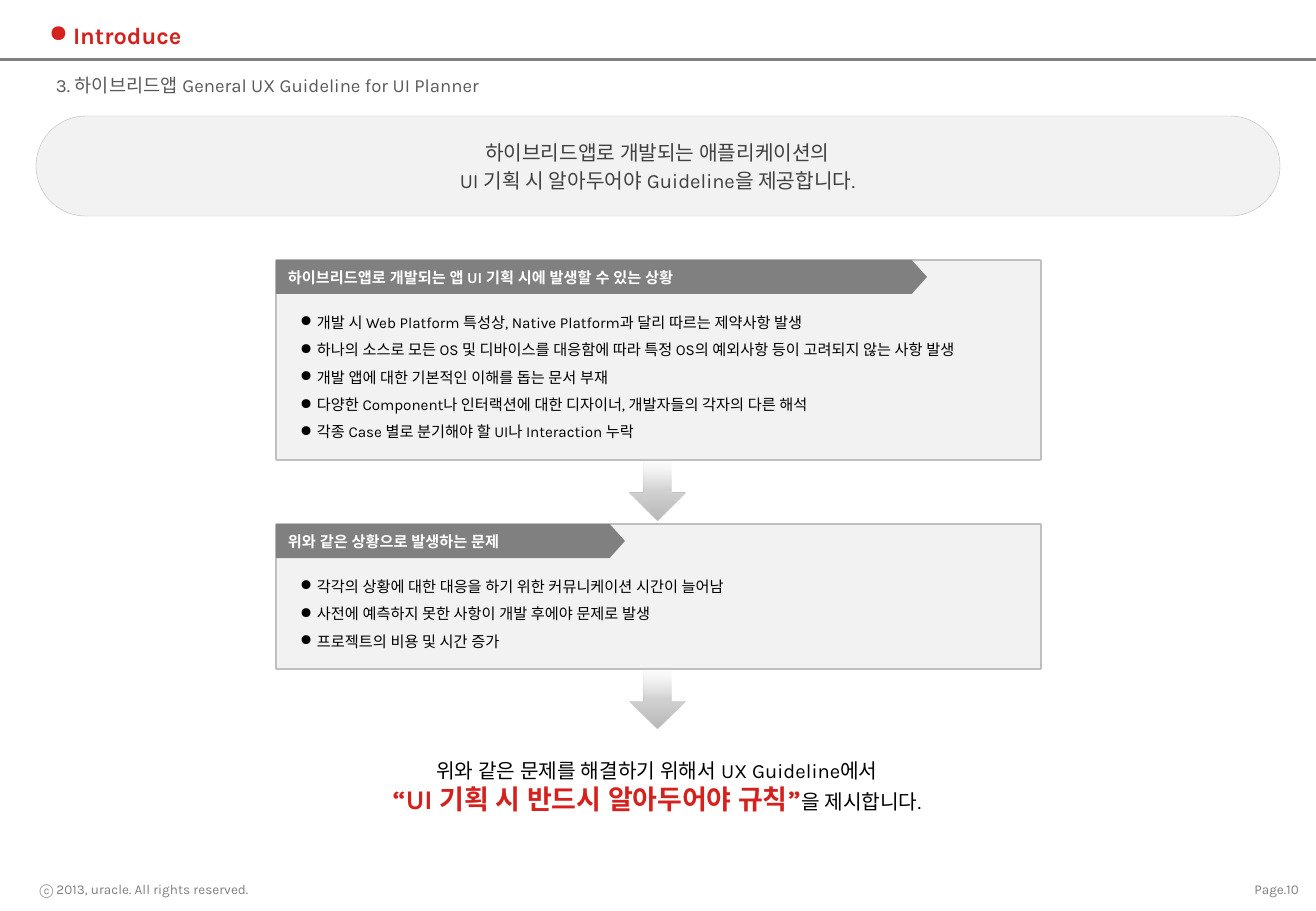
from dataclasses import dataclass

from lxml import etree
from pptx import Presentation
from pptx.dml.color import RGBColor
from pptx.enum.shapes import MSO_SHAPE
from pptx.enum.text import MSO_ANCHOR, MSO_AUTO_SIZE, PP_ALIGN
from pptx.oxml.ns import qn
from pptx.util import Pt

RECT = MSO_SHAPE.RECTANGLE
ROUND = MSO_SHAPE.ROUNDED_RECTANGLE
ARROW = MSO_SHAPE.RIGHT_ARROW
LEFT, CENTER, RIGHT = PP_ALIGN.LEFT, PP_ALIGN.CENTER, PP_ALIGN.RIGHT
TOP, MIDDLE = MSO_ANCHOR.TOP, MSO_ANCHOR.MIDDLE
NO_FIT = MSO_AUTO_SIZE.NONE
TITLE_ONLY = 5


@dataclass(frozen=True)
class Theme:
    font: str = "Karla"
    red: str = "D5211D"
    gray: str = "808080"
    subtitle: str = "595959"
    lead: str = "404040"
    black: str = "000000"
    white: str = "FFFFFF"
    panel: str = "F2F2F2"
    border: str = "BFBFBF"
    title_size: int = 14
    strong_size: int = 16
    lead_size: int = 12
    subtitle_size: int = 11
    body_size: int = 9
    footer_size: int = 8


THEME = Theme()

TITLE = "Introduce"
SUBTITLE = "3. 하이브리드앱 General UX Guideline for UI Planner"
LEAD = [
    "하이브리드앱로 개발되는 애플리케이션의",
    "UI 기획 시 알아두어야 Guideline을 제공합니다.",
]
PANELS = [
    {
        "top": 260, "height": 200, "band": 651,
        "heading": "하이브리드앱로 개발되는 앱 UI 기획 시에 발생할 수 있는 상황",
        "points": [
            "개발 시 Web Platform 특성상, Native Platform과 달리 따르는 제약사항 발생",
            "하나의 소스로 모든 OS 및 디바이스를 대응함에 따라 특정 OS의 예외사항 등이 고려되지 않는 사항 발생",
            "개발 앱에 대한 기본적인 이해를 돕는 문서 부재",
            "다양한 Component나 인터랙션에 대한 디자이너, 개발자들의 각자의 다른 해석",
            "각종 Case 별로 분기해야 할 UI나 Interaction 누락",
        ],
    },
    {
        "top": 524, "height": 145, "band": 349,
        "heading": "위와 같은 상황으로 발생하는 문제",
        "points": [
            "각각의 상황에 대한 대응을 하기 위한 커뮤니케이션 시간이 늘어남",
            "사전에 예측하지 못한 사항이 개발 후에야 문제로 발생",
            "프로젝트의 비용 및 시간 증가",
        ],
    },
]
STRONG = {"color": THEME.red, "size": THEME.strong_size, "bold": True}
CLOSING = [
    "위와 같은 문제를 해결하기 위해서 UX Guideline에서",
    [("“UI 기획 시 반드시 알아두어야 규칙”", STRONG), ("을 제시합니다.", {})],
]
COPYRIGHT = "ⓒ 2013, uracle. All rights reserved."
PAGE_LABEL = "Page.10"
ARROW_STOPS = [(0, "B8B8B8", 100), (50, "D3D3D3", 100), (100, "E9E9E9", 0)]

EMU_PER_PX = 7526
SLIDE_WIDTH, SLIDE_HEIGHT = 1316, 911
PANEL_LEFT, PANEL_WIDTH = 276, 765
BAND_HEIGHT, POINTS_OFFSET, POINT_PITCH = 34, 38, 27
ARROW_LENGTH, ARROW_BREADTH, ARROW_DROP = 61, 55, 29


def px(*lengths):
    return [length * EMU_PER_PX for length in lengths]


def style(span, color, size, bold=False):
    span.font.size = Pt(size)
    span.font.bold = bold
    span.font.color.rgb = RGBColor.from_string(color)
    span.font.name = THEME.font
    etree.SubElement(span.font._element, qn("a:ea"), typeface=THEME.font)


def write(shape, paragraphs, color, size, bold=False, align=LEFT, anchor=TOP,
          inset=12, bullet_indent=0, line_spacing=None, gap=0):
    frame = shape.text_frame
    frame.word_wrap = True
    frame.auto_size = NO_FIT
    frame.vertical_anchor = anchor
    frame.margin_left, frame.margin_right = px(inset, inset)
    frame.margin_top, frame.margin_bottom = px(6, 6)
    for index, content in enumerate(paragraphs):
        para = frame.add_paragraph() if index else frame.paragraphs[0]
        para.alignment = align
        para.space_before = Pt(gap if index else 0)
        if line_spacing:
            para.line_spacing = line_spacing
        if bullet_indent:
            properties = para._p.get_or_add_pPr()
            indent = px(bullet_indent)[0]
            properties.set("marL", str(indent))
            properties.set("indent", str(-indent))
            etree.SubElement(properties, qn("a:buChar"), char="●")
        spans = [(content, {})] if isinstance(content, str) else content
        for text, changes in spans:
            span = para.add_run()
            span.text = text
            style(span, **{"color": color, "size": size, "bold": bold, **changes})


def add_text(slide, area, paragraphs, **text_format):
    write(slide.shapes.add_textbox(*px(*area)), paragraphs, **text_format)


def add_block(slide, kind, area, fill, line=None, weight=1, adjustments=()):
    shape = slide.shapes.add_shape(kind, *px(*area))
    shape.shadow.inherit = False
    shape.fill.solid()
    shape.fill.fore_color.rgb = RGBColor.from_string(fill)
    if line:
        shape.line.color.rgb = RGBColor.from_string(line)
        shape.line.width = Pt(weight)
    else:
        shape.line.fill.background()
    for index, value in enumerate(adjustments):
        shape.adjustments[index] = value
    return shape


def add_down_arrow(slide, center_y):
    area = ((SLIDE_WIDTH - ARROW_LENGTH) // 2, center_y - ARROW_BREADTH // 2,
            ARROW_LENGTH, ARROW_BREADTH)
    arrow = add_block(slide, ARROW, area, THEME.border)
    arrow.rotation = 90
    arrow.fill.gradient()
    gradient = arrow._element.spPr.find(qn("a:gradFill"))
    gradient.find(qn("a:lin")).set("ang", "10800000")
    stops = gradient.find(qn("a:gsLst"))
    for stop in list(stops):
        stops.remove(stop)
    for position, color, opacity in ARROW_STOPS:
        stop = etree.SubElement(stops, qn("a:gs"), pos=str(position * 1000))
        tint = etree.SubElement(stop, qn("a:srgbClr"), val=color)
        etree.SubElement(tint, qn("a:alpha"), val=str(opacity * 1000))


def add_panel(slide, top, height, band, heading, points):
    add_block(slide, ROUND, (PANEL_LEFT, top, PANEL_WIDTH, height), THEME.panel,
              line=THEME.border, adjustments=[0.005])
    add_text(slide, (PANEL_LEFT, top + POINTS_OFFSET, PANEL_WIDTH,
                     POINT_PITCH * len(points) + 14), points,
             color=THEME.black, size=THEME.body_size, inset=24,
             bullet_indent=17, line_spacing=1.5)
    label = add_block(slide, ARROW, (PANEL_LEFT, top, band, BAND_HEIGHT),
                      THEME.gray, adjustments=[1, 0.45])
    write(label, [heading], color=THEME.white, size=THEME.body_size,
          bold=True, anchor=MIDDLE)
    add_down_arrow(slide, top + height + ARROW_DROP)


def main():
    deck = Presentation()
    deck.slide_width, deck.slide_height = px(SLIDE_WIDTH, SLIDE_HEIGHT)
    slide = deck.slides.add_slide(deck.slide_layouts[TITLE_ONLY])
    title = slide.shapes.title
    title.left, title.top, title.width, title.height = px(37, 10, 1255, 50)
    write(title, [TITLE], color=THEME.red, size=THEME.title_size, bold=True,
          anchor=MIDDLE, bullet_indent=24)
    add_block(slide, RECT, (0, 58, SLIDE_WIDTH, 3), THEME.gray)
    add_text(slide, (44, 68, 1232, 34), [SUBTITLE],
             color=THEME.subtitle, size=THEME.subtitle_size)
    add_block(slide, ROUND, (36, 116, 1244, 100), THEME.panel,
              line=THEME.border, weight=0.25, adjustments=[0.5])
    add_text(slide, (62, 129, 1191, 75), LEAD, color=THEME.lead,
             size=THEME.lead_size, align=CENTER, anchor=MIDDLE, gap=2.4)
    for panel in PANELS:
        add_panel(slide, **panel)
    add_text(slide, (64, 752, 1186, 69), CLOSING, color=THEME.black,
             size=THEME.lead_size, align=CENTER)
    for area, text in [((7, 876, 254, 27), COPYRIGHT),
                       ((1230, 876, 81, 27), PAGE_LABEL)]:
        add_text(slide, area, [text], color=THEME.gray, size=THEME.footer_size,
                 align=RIGHT, anchor=MIDDLE)
    deck.save("out.pptx")


if __name__ == "__main__":
    main()
